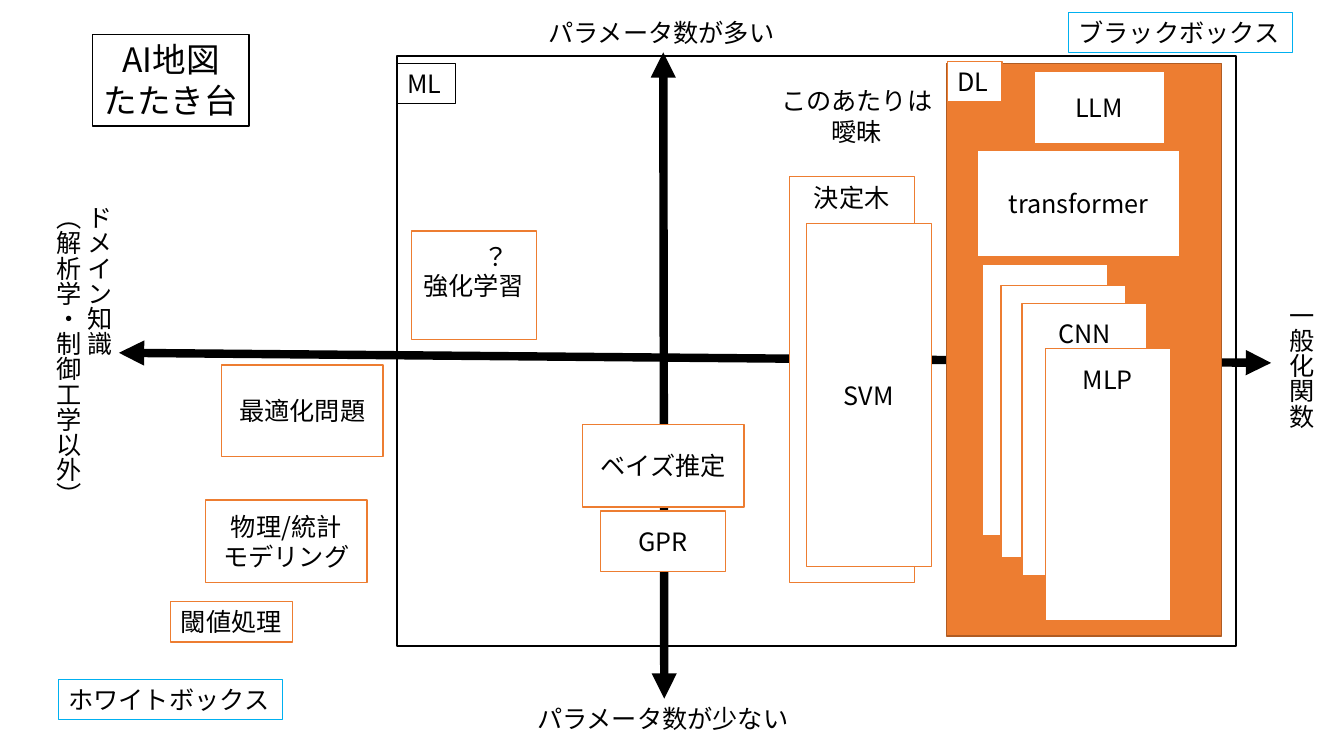
"""Build a one-slide map of AI methods by parameter count and generality."""
import lxml.etree
import pptx
import pptx.dml.color
import pptx.enum.shapes
import pptx.enum.text
import pptx.oxml.ns
import pptx.util

RGBColor = pptx.dml.color.RGBColor
WHITE = RGBColor(0xFF, 0xFF, 0xFF)
BLACK = RGBColor(0x00, 0x00, 0x00)
ORANGE = RGBColor(0xED, 0x7D, 0x31)
BROWN = RGBColor(0xAF, 0x5C, 0x24)
BLUE = RGBColor(0x00, 0xB0, 0xF0)
FONT = "Noto Sans CJK JP"
COLS, ROWS = 133.33, 75
CELL = pptx.util.Inches(0.1)

AXES = [(11.8, 35, 126.1, 36), (65.8, 5.2, 65.9, 69.3)]

AXIS_LABELS = [
    ("ドメイン知識\n（解析学・制御工学以外）", (3.7, 19.4, 8.1, 31.3), True),
    ("一般化関数", (126.1, 29.1, 5, 13.6), True),
    ("パラメータ数が多い", (53.4, 1.2, 24.7, 4), False),
    ("パラメータ数が少ない", (52.3, 69.3, 27.3, 4), False),
]
CORNERS = [
    ("ブラックボックス", (106, 1.2, 22.2, 4)),
    ("ホワイトボックス", (5.8, 67.4, 22.2, 4)),
]
METHODS = [
    ("閾値処理", (16.9, 59.7, 12.1, 4)),
    ("最適化問題", (22, 36.2, 16, 9.1)),
    ("物理/統計\nモデリング", (20.4, 49.6, 16, 8.2)),
    ("ベイズ推定", (57.8, 42.1, 16, 8.2)),
    ("GPR", (59.6, 50.7, 12.4, 6)),
    ("SVM", (80, 22.2, 12.4, 34)),
    ("強化学習", (40.8, 22.9, 12.4, 10.8)),
    ("transformer", (97, 14.9, 20, 10.6)),
    ("LLM", (102.6, 7.1, 12.9, 7.2)),
]
TREE = ("決定木", (78.3, 17.5, 12.4, 40.3))
NETWORKS = [("", 97.5, 26.2), ("", 99.3, 28.3), ("CNN", 101.4, 30.1), ("MLP", 103.7, 34.6)]
NETWORK_SIZE = (12.4, 27)
BACKDROP = (2.2, 0.8, 130.2, 71.4)
DL_PANEL = (93.9, 6.3, 27.3, 56.8)
ML_FRAME = (39.4, 5.6, 83.2, 58.5)
TAGS = [("ML", (39.4, 6.3, 5.8, 4), BLACK), ("DL", (94, 6.1, 5.4, 4), ORANGE)]
NOTES = [("このあたりは\n曖昧", (75.5, 8, 19, 7.1)), ("？", (44.5, 23.4, 9.5, 4))]
TITLE = ("AI地図\nたたき台", (9.2, 3.4, 15.5, 9.1))

prs = pptx.Presentation()
prs.slide_width = int(COLS * CELL)
prs.slide_height = ROWS * CELL
s = prs.slides.add_slide(prs.slide_layouts[6])


def cells(values):
    return [round(v * CELL) for v in values]


def write(sp, text, size=18, align="CENTER", anchor="MIDDLE", top=0.5, wrap=True, vertical=False):
    tf = sp.text_frame
    tf.word_wrap = wrap
    tf.vertical_anchor = pptx.enum.text.MSO_ANCHOR[anchor]
    tf.margin_top = round(top * CELL)
    if vertical:
        tf._txBody.bodyPr.set("vert", "eaVert")
    for i, line in enumerate(text.split("\n")):
        p = tf.paragraphs[0] if i == 0 else tf.add_paragraph()
        p.alignment = pptx.enum.text.PP_ALIGN[align]
        r = p.add_run()
        r.text = line
        r.font.size = pptx.util.Pt(size)
        r.font.name = FONT
        r.font.color.rgb = BLACK
        ea = lxml.etree.SubElement(r.font._element, pptx.oxml.ns.qn("a:ea"))
        ea.set("typeface", FONT)


def box(at, text="", fill=WHITE, line=ORANGE, width=1, **fmt):
    sp = s.shapes.add_shape(pptx.enum.shapes.MSO_SHAPE.RECTANGLE, *cells(at))
    sp.shadow.inherit = False
    if fill is None:
        sp.fill.background()
    else:
        sp.fill.solid()
        sp.fill.fore_color.rgb = fill
    sp.line.color.rgb = line
    sp.line.width = pptx.util.Pt(width)
    if text:
        write(sp, text, **fmt)


def label(at, text, **fmt):
    write(s.shapes.add_textbox(*cells(at)), text, anchor="TOP", **fmt)


def axis(ends):
    kind = pptx.enum.shapes.MSO_CONNECTOR.STRAIGHT
    c = s.shapes.add_connector(kind, *cells(ends))
    c.line.color.rgb = BLACK
    c.line.width = pptx.util.Pt(6)
    ln = c.line._get_or_add_ln()
    for end in ("a:headEnd", "a:tailEnd"):
        lxml.etree.SubElement(ln, pptx.oxml.ns.qn(end)).set("type", "triangle")
    lxml.etree.SubElement(c._element.spPr, pptx.oxml.ns.qn("a:effectLst"))


box(BACKDROP, line=WHITE)
for ends in AXES:
    axis(ends)
for text, at, vertical in AXIS_LABELS:
    label(at, text, align="LEFT", wrap=False, vertical=vertical)
for text, at in CORNERS:
    box(at, text, fill=None, line=BLUE, width=0.75, align="LEFT", anchor="TOP", wrap=False)
box(TREE[1], TREE[0], anchor="TOP", top=0.6)
box(DL_PANEL, fill=ORANGE, line=BROWN)
for text, at in METHODS:
    box(at, text)
for text, left, top in NETWORKS:
    box((left, top, *NETWORK_SIZE), text, anchor="TOP", top=1.5)
box(ML_FRAME, fill=None, line=BLACK, width=1.5)
for text, at, line in TAGS:
    box(at, text, line=line, align="LEFT", anchor="TOP", wrap=False)
for text, at in NOTES:
    label(at, text)
box(TITLE[1], TITLE[0], line=BLACK, size=24, anchor="TOP", wrap=False)

prs.save("out.pptx")
